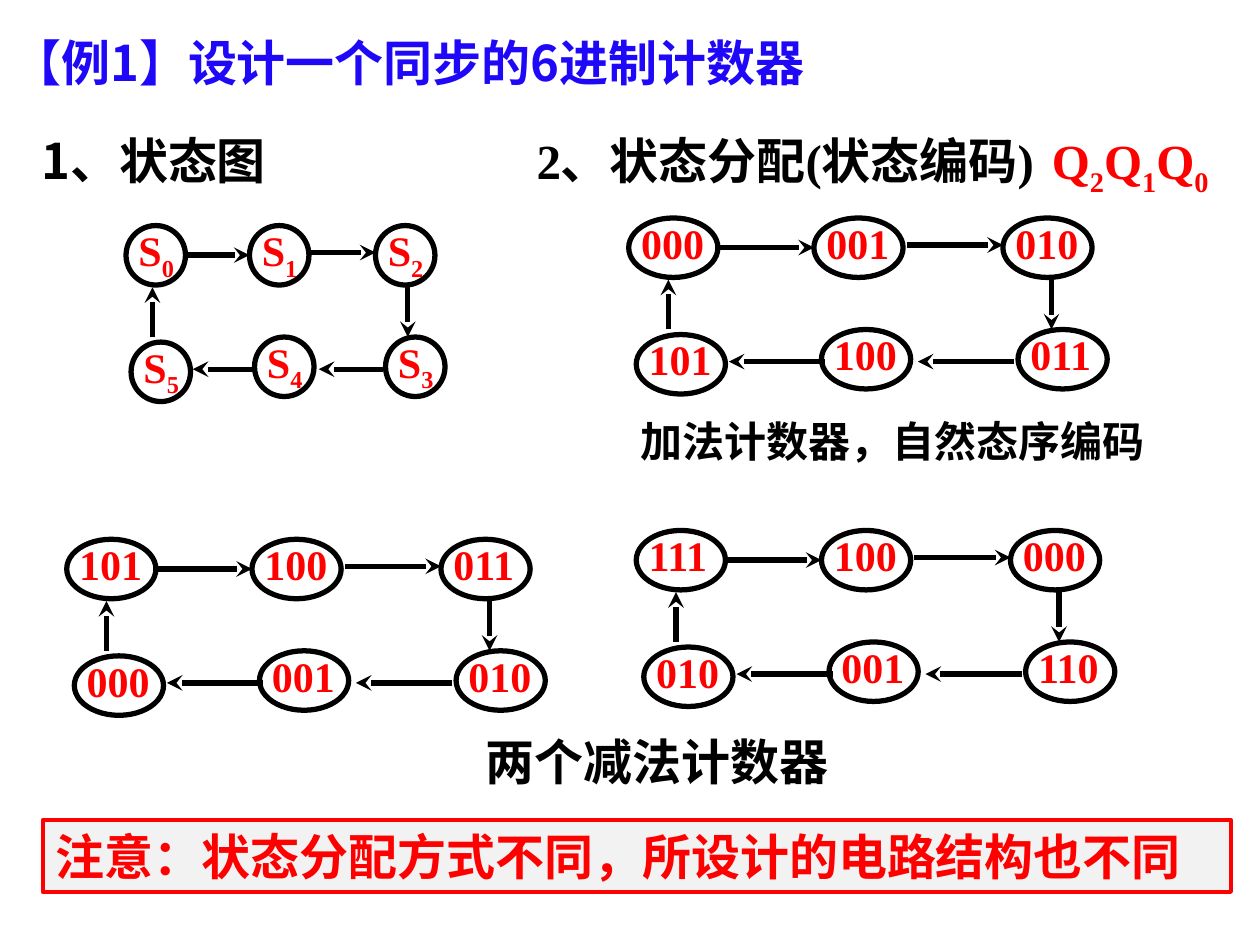
from lxml.etree import SubElement
from pptx import Presentation
from pptx.dml.color import RGBColor as RGB
from pptx.enum.shapes import MSO_CONNECTOR as Connector, MSO_SHAPE as Shape
from pptx.enum.text import MSO_AUTO_SIZE as AutoSize, PP_ALIGN as Align
from pptx.oxml.ns import qn
from pptx.util import Inches, Pt

# Grid of 100 columns by 75 rows
SLIDE_W, SLIDE_H = Inches(10), Inches(7.5)
COL, ROW = SLIDE_W / 100, SLIDE_H / 75

COLORS = {"blue": "1F08F8", "black": "000000", "red": "FF0000",
          "white": "FFFFFF", "gray": "F2F2F2"}
HAN, ROMAN = "Noto Sans CJK SC", "Times New Roman"

# Ring layout from its first state: columns for round states, rows for all
STATE_SPOTS = [(0, 0), (9.8, 0), (19.8, 0), (20.6, 8.85), (10.2, 8.85), (0.4, 9.25)]
STATE_SIZE = 4.72
ARROW_SPOTS = [((4.7, 2.35), (9.8, 2.35)), ((14.7, 2.15), (19.8, 2.15)),
               ((22.37, 4.9), (22.37, 8.85)), ((20.4, 11.4), (15.3, 11.4)),
               ((10.4, 11.4), (5.3, 11.4)), ((2.1, 8.85), (2.1, 4.9))]
OVAL = 1.5  # horizontal stretch of the rings with coded states

# Column, row, stretch, states in counting order
STATE_RING = (10, 17.9, 1, ["S0", "S1", "S2", "S3", "S4", "S5"])
UP_RING = (49.9, 17.3, OVAL, ["000", "001", "010", "011", "100", "101"])
DOWN_RINGS = [(5.3, 42.8, OVAL, ["101", "100", "011", "010", "001", "000"]),
              (50.5, 42.1, OVAL, ["111", "100", "000", "110", "001", "010"])]


def color(name):
    return RGB.from_string(COLORS[name])


def grid(col, row):
    return round(col * COL), round(row * ROW)


def write(holder, parts, size, font, ink, align=Align.LEFT):
    """Fill a text frame with (text, is_subscript) parts."""
    frame = holder.text_frame
    for key, value in {"word_wrap": True, "auto_size": AutoSize.SHAPE_TO_FIT_TEXT,
                       "margin_left": Inches(0.1), "margin_right": Inches(0.1),
                       "margin_top": Inches(0.05), "margin_bottom": Inches(0.05)}.items():
        setattr(frame, key, value)
    line = frame.paragraphs[0]
    line.alignment = align
    for text, is_subscript in parts:
        run = line.add_run()
        run.text = text
        for key, value in {"size": Pt(size), "name": font, "bold": True}.items():
            setattr(run.font, key, value)
        run.font.color.rgb = color(ink)
        props = run._r.get_or_add_rPr()
        SubElement(props, qn("a:ea")).set("typeface", HAN)
        if is_subscript:
            props.set("baseline", "-25000")


def outlined(shapes, kind, spot, size, edge="black", width=3, fill=None):
    shape = shapes.add_shape(kind, *grid(*spot), *grid(*size))
    shape.shadow.inherit = False
    if fill:
        shape.fill.solid()
        shape.fill.fore_color.rgb = color(fill)
    else:
        shape.fill.background()
    shape.line.color.rgb = color(edge)
    shape.line.width = Pt(width)
    return shape


def banner(slide, spot, size, parts, points=28, font=HAN, ink="black",
           align=Align.LEFT, **look):
    look = {"edge": "white", **look}
    box = outlined(slide.shapes, Shape.RECTANGLE, spot, size, **look)
    box.text_frame.vertical_anchor = None
    box.text_frame._txBody.bodyPr.set("anchor", "t")
    write(box, parts, points, font, ink, align)


def state(shapes, col, row, stretch, name):
    outlined(shapes, Shape.OVAL, (col, row), (STATE_SIZE * stretch, STATE_SIZE))
    label = shapes.add_textbox(*grid(col, row - 0.55), *grid(3.55 + 3.54 * (2 * stretch - 1), 5))
    parts = [("S", False), (name[1:], True)] if name.startswith("S") else [(name, False)]
    write(label, parts, 24, ROMAN, "red")


def arrow(shapes, start, end):
    line = shapes.add_connector(Connector.STRAIGHT, *grid(*start), *grid(*end))
    line.line.color.rgb = color("black")
    line.line.width = Pt(3)
    SubElement(line.line._get_or_add_ln(), qn("a:tailEnd")).set("type", "stealth")
    SubElement(line._element.spPr, qn("a:effectLst"))


def ring(slide, left, top, stretch, names):
    """Six states joined clockwise by arrows."""
    shapes = slide.shapes.add_group_shape().shapes

    def place(spot):
        return left + spot[0] * stretch, top + spot[1]

    for spot, name, (start, end) in zip(STATE_SPOTS, names, ARROW_SPOTS):
        state(shapes, *place(spot), stretch, name)
        arrow(shapes, place(start), place(end))


def main():
    deck = Presentation()
    deck.slide_width, deck.slide_height = SLIDE_W, SLIDE_H
    slide = deck.slides.add_slide(deck.slide_layouts[6])

    # Title
    title = slide.shapes.add_textbox(*grid(0, 2.1), *grid(83.4, 5.8))
    write(title, [("【例1】设计一个同步的6进制计数器", False)], 28, HAN, "blue")

    # Step 1: state diagram
    banner(slide, (2.3, 9.9), (21.6, 5.7), [("1、状态图", False)])
    ring(slide, *STATE_RING)

    # Step 2: state coding, counting up
    banner(slide, (41.6, 9.9), (43.1, 5.7), [("2、状态分配(状态编码)", False)], font=ROMAN)
    ring(slide, *UP_RING)
    outputs = [part for bit in "210" for part in (("Q", False), (bit, True))]
    banner(slide, (82.5, 9.9), (16.5, 5.7), outputs, font=ROMAN, ink="red")
    banner(slide, (49.4, 32.5), (42.9, 5), [("加法计数器，自然态序编码", False)],
           points=24, align=Align.CENTER)

    # Two counters that count down
    for down_ring in DOWN_RINGS:
        ring(slide, *down_ring)
    banner(slide, (32.8, 57.6), (38.7, 5.7), [("两个减法计数器", False)], align=Align.CENTER)

    # Closing note
    banner(slide, (3.4, 65.1), (94.3, 5.7),
           [("注意：状态分配方式不同，所设计的电路结构也不同", False)],
           ink="red", edge="red", width=2.25, fill="gray")

    deck.save("out.pptx")


if __name__ == "__main__":
    main()
